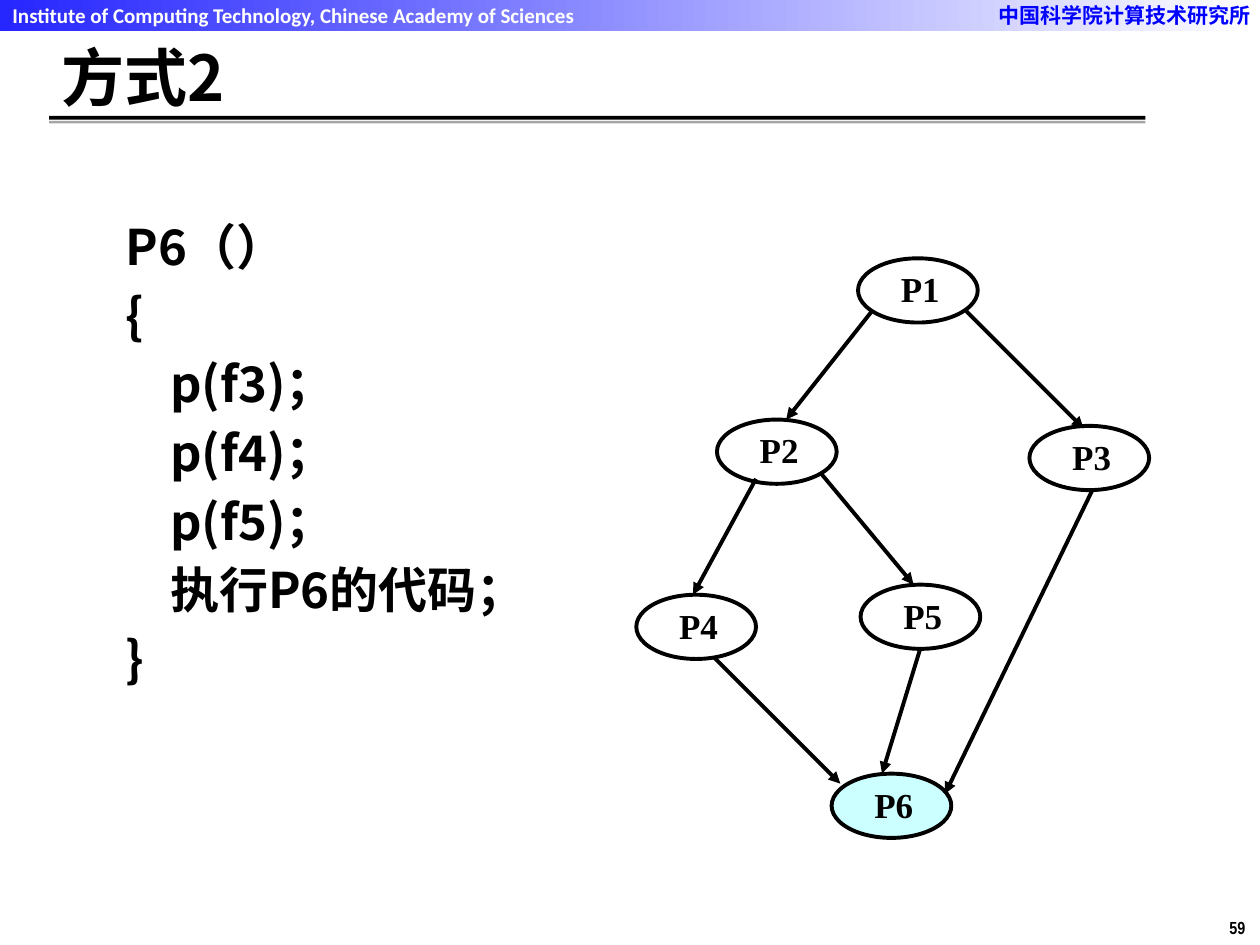
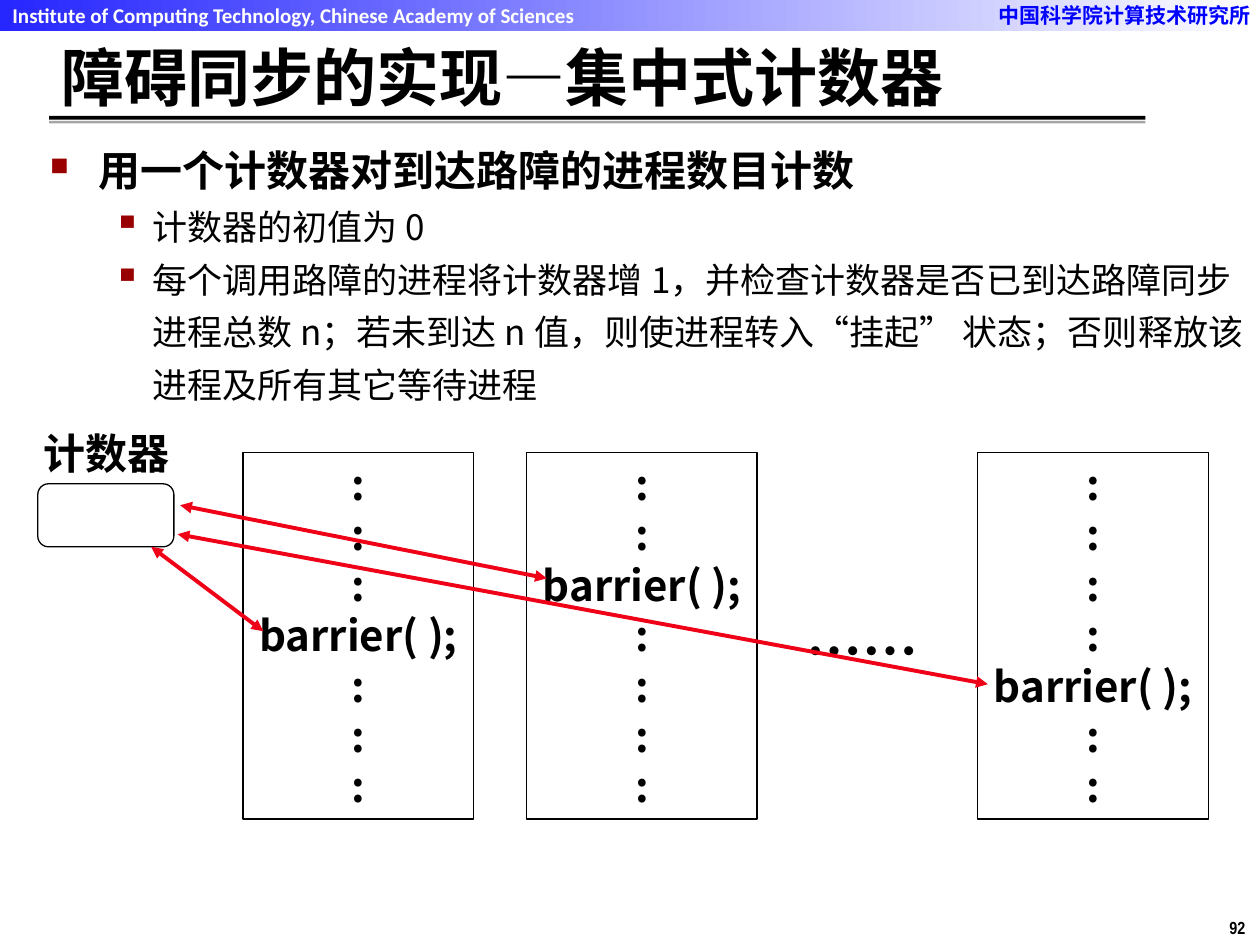
"""Build two lecture slides on process synchronisation."""
from lxml import etree
from pptx import Presentation
from pptx.dml.color import RGBColor
from pptx.enum import shapes, text
from pptx.oxml import ns
from pptx.util import Inches, Pt

SANS, SERIF = "Noto Sans CJK SC", "Times New Roman"
BLACK, WHITE, BLUE, RED, MAROON = "000000", "FFFFFF", "0000FF", "EF0118", "990000"
KIND, ALIGN = shapes.MSO_SHAPE, text.PP_ALIGN
hue = RGBColor.from_string


def add_box(page, area, lines=(), size=24, font=SANS, color=BLACK, align=ALIGN.LEFT,
            kind=None, fill=None, line=0, gap=0, hanging=0):
    """Add a text box, or a shape of the given kind, with formatted lines."""
    area = [Inches(length) for length in area]
    if kind is None:
        box = page.shapes.add_textbox(*area)
    else:
        box = page.shapes.add_shape(kind, *area)
        box.shadow.inherit = False
        box.fill.background()
        if fill:
            box.fill.solid()
            box.fill.fore_color.rgb = hue(fill)
        box.line.fill.background()
        if line:
            box.line.color.rgb = hue(BLACK)
            box.line.width = Pt(line)
    frame = box.text_frame
    frame.word_wrap = True
    frame.vertical_anchor = text.MSO_ANCHOR.TOP
    if lines:
        frame.text = "\n".join(lines)
    for number, para in enumerate(frame.paragraphs):
        para.alignment = align
        if gap and number:
            para.space_before = Pt(gap)
        if hanging:
            props = para._p.get_or_add_pPr()
            props.set("marL", str(Inches(hanging)))
            props.set("indent", str(-Inches(hanging)))
        for span in para.runs:
            span.font.size, span.font.name, span.font.bold = Pt(size), font, True
            span.font.color.rgb = hue(color)
            etree.SubElement(span._r.get_or_add_rPr(), ns.qn("a:ea"), typeface=font)
    return box


def add_arrow(page, start, end, color, ends):
    """Draw a straight line with triangles at the named ends."""
    arrow = page.shapes.add_connector(
        shapes.MSO_CONNECTOR.STRAIGHT, *[Inches(length) for length in (*start, *end)])
    arrow.line.color.rgb = hue(color)
    arrow.line.width = Pt(2.25)
    for end_name in ends:
        etree.SubElement(arrow.line._get_or_add_ln(), ns.qn(f"a:{end_name}"), type="triangle")
    etree.SubElement(arrow._element.spPr, ns.qn("a:effectLst"))


deck = Presentation()
deck.slide_width, deck.slide_height = Inches(10), Inches(7.5)

pages = []
for title, number in (("方式2", "59"), ("障碍同步的实现—集中式计数器", "92")):
    page = deck.slides.add_slide(deck.slide_layouts[6])
    band = add_box(page, (0, 0, 10, 0.25), kind=KIND.RECTANGLE)
    band.fill.gradient()
    band.fill.gradient_angle = 0
    for stop, color in zip(band.fill.gradient_stops, ("2626FF", WHITE)):
        stop.color.rgb = hue(color)
    add_box(page, (7.83, -0.03, 2.24, 0.3), ["中国科学院计算技术研究所"], 12, color=BLUE)
    add_box(page, (0, -0.03, 4.75, 0.3),
            ["Institute of Computing Technology, Chinese Academy of Sciences"],
            12, "Calibri", WHITE)
    footer = add_box(page, (9.66, 7.23, 0.34, 0.27), [number], 10, "Arial Narrow")
    footer.text_frame.word_wrap = False
    add_box(page, (0.39, 0.92, 8.7, 0.03), kind=KIND.RECTANGLE, fill=BLACK)
    add_box(page, (0.39, 0.96, 8.7, 0.02), kind=KIND.RECTANGLE, fill="A6A6A6")
    heading = add_box(page, (0.39, 0.33, 8.68, 0.56), [title], 36, hanging=0.13)
    heading.text_frame.vertical_anchor = text.MSO_ANCHOR.MIDDLE
    pages.append(page)
graph_page, barrier_page = pages

code = ["P6（）", "{", "    p(f3)；", "    p(f4)；", "    p(f5)；", "    执行P6的代码；", "}"]
add_box(graph_page, (0.9, 1.67, 3.46, 4.37), code, 28,
        align=ALIGN.JUSTIFY, gap=5.6, hanging=0.38)

processes = {"P1": (6.81, 2.05), "P2": (5.69, 3.33), "P3": (8.17, 3.38),
             "P4": (5.05, 4.72), "P5": (6.83, 4.64), "P6": (6.6, 6.14)}
for name, corner in processes.items():
    node = add_box(graph_page, (*corner, 0.95, 0.51), [name], 20, SERIF, kind=KIND.OVAL,
                   fill="CCFFFF" if name == "P6" else WHITE, line=2.25)
    frame = node.text_frame
    frame.margin_left = Inches(0.2)
    frame.margin_top = frame.margin_right = frame.margin_bottom = 0

dependencies = [
    ((6.92, 2.47), (6.24, 3.33)), ((7.67, 2.47), (8.6, 3.4)),
    ((6, 3.8), (5.5, 4.72)), ((6.51, 3.75), (7.25, 4.64)),
    ((5.67, 5.22), (6.67, 6.22)), ((7.3, 5.16), (7, 6.14)),
    ((8.67, 3.89), (7.5, 6.3)),
]
for start, end in dependencies:
    add_arrow(graph_page, start, end, BLACK, ["tailEnd"])

points = [
    "用一个计数器对到达路障的进程数目计数",
    "计数器的初值为 0",
    "每个调用路障的进程将计数器增 1，并检查计数器是否已到达路障同步进程总数 n；"
    "若未到达 n 值，则使进程转入“挂起” 状态；否则释放该进程及所有其它等待进程",
]
body = add_box(barrier_page, (0.3, 1, 9.72, 5.58), points)
for level, para in zip((0, 1, 1), body.text_frame.paragraphs):
    margin, indent, scale, mark = ((0.38, -0.38, 60, "■"), (0.81, -0.31, 110, "▪"))[level]
    para.level = level
    para.line_spacing = 1.25
    props = para._p.get_or_add_pPr()
    props.set("marL", str(Inches(margin)))
    props.set("indent", str(Inches(indent)))
    bullet_color = etree.SubElement(props, ns.qn("a:buClr"))
    etree.SubElement(bullet_color, ns.qn("a:srgbClr"), val=MAROON)
    etree.SubElement(props, ns.qn("a:buSzPct"), val=str(scale * 1000))
    etree.SubElement(props, ns.qn("a:buChar"), char=mark)
    if level:
        for span in para.runs:
            span.font.size, span.font.bold = Pt(20), False

for left, barrier_row in ((1.93, 3), (4.18, 2), (7.76, 4)):
    steps = ["barrier( );" if row == barrier_row else ":" for row in range(7)]
    add_box(barrier_page, (left, 3.59, 1.83, 2.91), steps, align=ALIGN.CENTER,
            kind=KIND.RECTANGLE, line=0.75)
add_box(barrier_page, (6.26, 4.84, 1.17, 0.63), ["……"], 32, align=ALIGN.CENTER)
counter = add_box(barrier_page, (0.3, 3.84, 1.08, 0.5), kind=KIND.ROUNDED_RECTANGLE, line=0.75)
counter.adjustments[0] = 0.17
add_box(barrier_page, (0.18, 3.34, 1.33, 0.5), ["计数器"], align=ALIGN.CENTER)

for start, end in (((1.2, 4.34), (2.09, 5.01)), ((1.43, 4.01), (4.34, 4.59)),
                   ((1.41, 4.24), (7.84, 5.43))):
    add_arrow(barrier_page, start, end, RED, ["headEnd", "tailEnd"])

deck.save("out.pptx")
